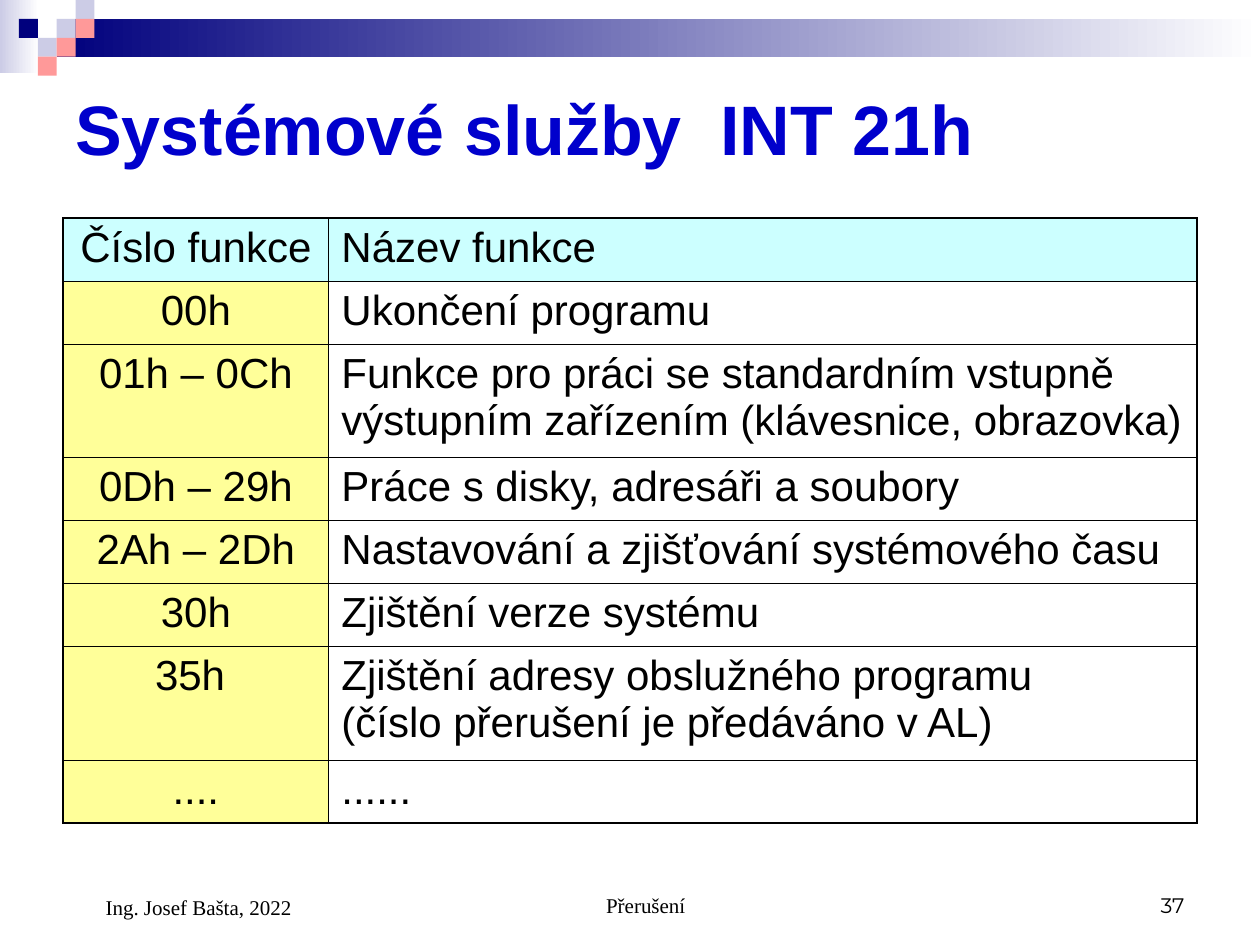
from lxml import etree
from pptx import Presentation
from pptx import util as u
from pptx.dml.color import RGBColor
from pptx.enum import shapes, text
from pptx.oxml import ns

Inches = u.Inches
A, M = text.PP_ALIGN, text.MSO_ANCHOR


def tint(hue):
    return RGBColor.from_string(hue)


def put(frame, words, align, anchor, form, hue):
    """Write one paragraph with its font values."""
    frame.word_wrap = True
    frame.vertical_anchor = anchor
    par = frame.paragraphs[0]
    par.text = words
    par.alignment = align
    for key, val in form.items():
        setattr(par.font, key, val)
    par.font.color.rgb = tint(hue)
    return par


deck = Presentation()
deck.slide_width, deck.slide_height = Inches(10), Inches(7.5)
slide = deck.slides.add_slide(deck.slide_layouts[6])

# Top decoration: two fading bars, then small squares
navy, lilac, pink = "00007D", "CCCCE6", "FF9999"
side = 0.15
parts = [
    (0, 0, 0.31, 0.58, (lilac, "FFFFFF")),
    (0.45, side, 9.55, 0.3, (navy, "FFFFFF")),
]
for col, row, hue in [(3, 1, lilac), (4, 0, lilac), (4, 1, pink), (2, 2, lilac),
                      (1, 1, navy), (3, 2, pink), (2, 3, pink)]:
    parts.append((col * side, row * side, side, side, (hue,)))
for x, y, w, h, hues in parts:
    box = slide.shapes.add_shape(shapes.MSO_SHAPE.RECTANGLE,
                                 Inches(x), Inches(y), Inches(w), Inches(h))
    box.shadow.inherit = False
    box.line.fill.background()
    if len(hues) == 2:
        box.fill.gradient()
        box.fill.gradient_angle = 0
        for stop, hue in zip(box.fill.gradient_stops, hues):
            stop.color.rgb = tint(hue)
    else:
        box.fill.solid()
        box.fill.fore_color.rgb = tint(hues[0])

# Title and footer texts
head = {"name": "Arial", "size": u.Pt(40), "bold": True}
foot = {"name": "Times New Roman", "size": u.Pt(12)}
page = {**foot, "name": "Montserrat"}
notes = [
    ("Systémové služby  INT 21h", 0.5, 0.5, 9, 1.03, A.LEFT, M.MIDDLE, head, "0000CC", 0),
    ("Přerušení", 3.42, 6.83, 3.17, 0.5, A.CENTER, M.BOTTOM, foot, "000000", 0.24),
    ("37", 7.17, 6.83, 2.33, 0.5, A.RIGHT, M.BOTTOM, page, "000000", 0),
    ("Ing. Josef Bašta, 2022", 0.5, 6.83, 2.33, 0.52, A.LEFT, M.BOTTOM, foot, "000000", 0.24),
]
for words, x, y, w, h, align, anchor, form, hue, dent in notes:
    box = slide.shapes.add_textbox(Inches(x), Inches(y), Inches(w), Inches(h))
    par = put(box.text_frame, words, align, anchor, form, hue)
    if dent:
        par._p.get_or_add_pPr().set("marL", str(Inches(dent)))

# Table of functions
rows = [
    ("Číslo funkce", "Název funkce"),
    ("00h", "Ukončení programu"),
    ("01h – 0Ch", "Funkce pro práci se standardním vstupně "
                  "výstupním zařízením (klávesnice, obrazovka)"),
    ("0Dh – 29h", "Práce s disky, adresáři a soubory"),
    ("2Ah – 2Dh", "Nastavování a zjišťování systémového času"),
    ("30h", "Zjištění verze systému"),
    ("35h ", "Zjištění adresy obslužného programu\v(číslo přerušení je předáváno v AL)"),
    ("....", "......"),
]
tall = (2, 6)
last = len(rows) - 1
body = {"name": "Arial", "size": u.Pt(24)}
table = slide.shapes.add_table(len(rows), 2, Inches(0.5), Inches(1.73),
                               Inches(9), Inches(4.8)).table
table.first_row = table.horz_banding = False
for col, wide in zip(table.columns, (2.11, 6.89)):
    col.width = Inches(wide)

for i, pair in enumerate(rows):
    table.rows[i].height = Inches(0.9 if i in tall else 0.5)
    for j, words in enumerate(pair):
        cell = table.cell(i, j)
        put(cell.text_frame, words, A.LEFT if j else A.CENTER, M.TOP, body, "000000")
        cell.vertical_anchor = M.TOP

        # Thick outer edges, thin inner ones
        outer = {"lnL": j == 0, "lnR": j == 1, "lnT": i == 0, "lnB": i == last}
        for tag, thick in outer.items():
            line = etree.SubElement(cell._tc.get_or_add_tcPr(), ns.qn("a:" + tag),
                                    w=str(u.Pt(1.08 if thick else 0.45)))
            fill = etree.SubElement(line, ns.qn("a:solidFill"))
            etree.SubElement(fill, ns.qn("a:srgbClr"), val="000000")

        if i and j:
            cell.fill.background()
        else:
            cell.fill.solid()
            cell.fill.fore_color.rgb = tint("FFFF99" if i else "CCFFFF")

deck.save("out.pptx")
